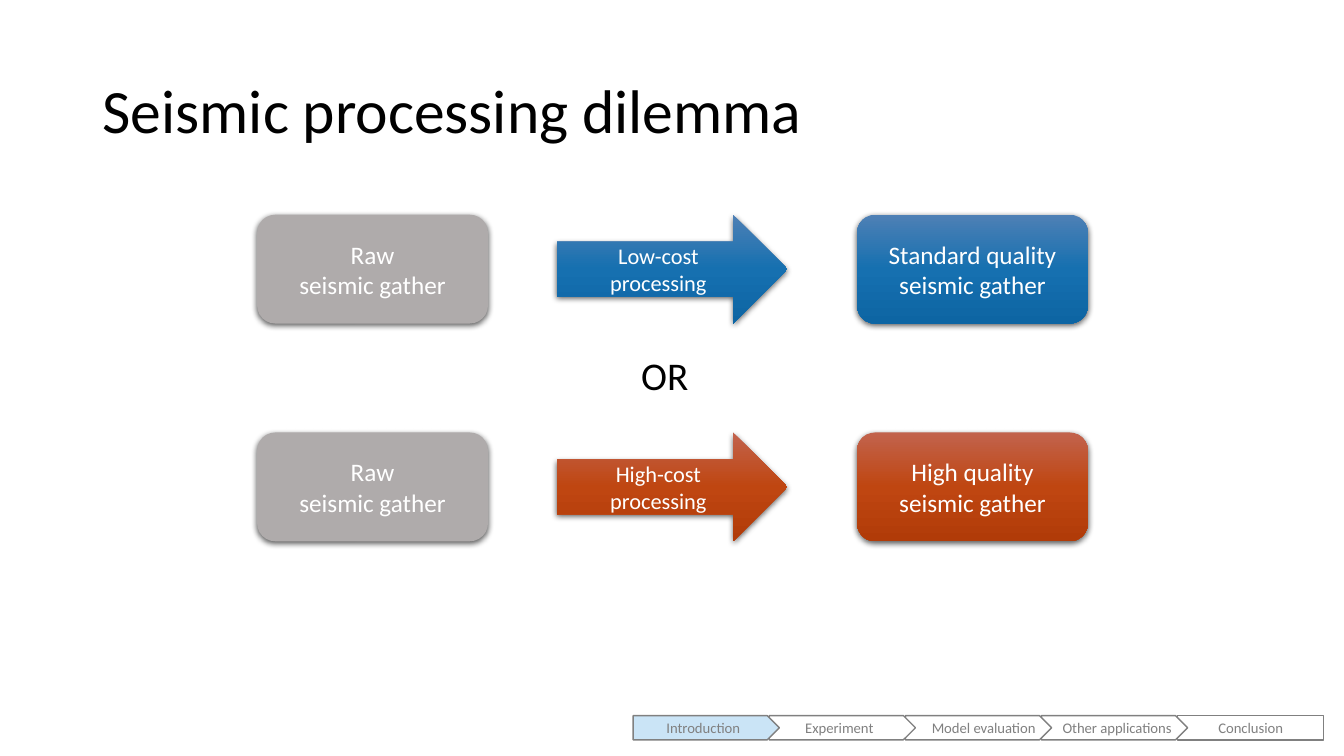
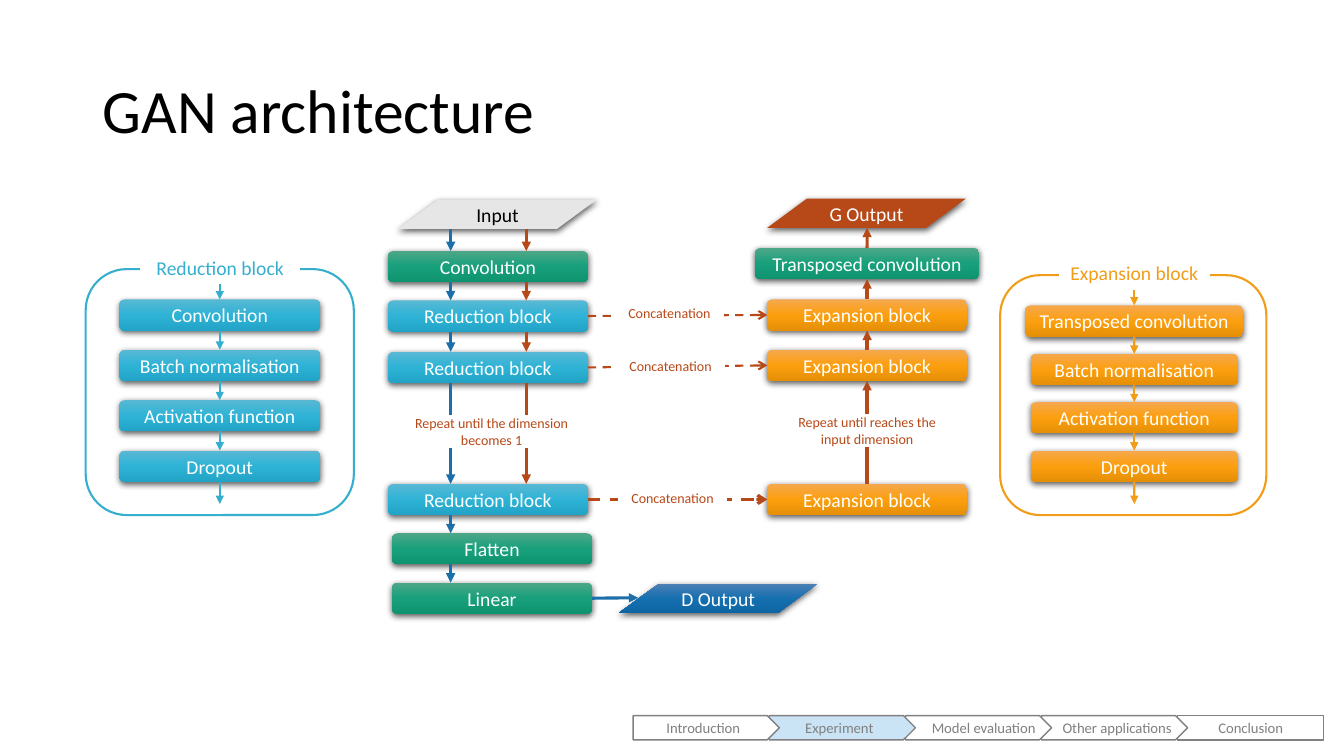
import copy
import itertools

import lxml.etree
import pptx
import pptx.dml.color
import pptx.enum.dml
import pptx.enum.shapes
import pptx.enum.text
import pptx.oxml.ns
import pptx.util

Inches = pptx.util.Inches
Pt = pptx.util.Pt
RGBColor = pptx.dml.color.RGBColor
SHAPE = pptx.enum.shapes.MSO_SHAPE
ALIGN = pptx.enum.text.PP_ALIGN
ANCHOR = pptx.enum.text.MSO_ANCHOR
qn = pptx.oxml.ns.qn

# Colours
BLACK = RGBColor(0x00, 0x00, 0x00)
WHITE = RGBColor(0xFF, 0xFF, 0xFF)
GREY = RGBColor(0x80, 0x80, 0x80)
WARM_GREY = RGBColor(0xAF, 0xAB, 0xAB)
PALE_GREY = RGBColor(0xE7, 0xE6, 0xE6)
PALE_BLUE = RGBColor(0xCA, 0xE4, 0xF6)
BLUE = RGBColor(0x1D, 0x6F, 0xA9)
RUST = RGBColor(0xB7, 0x49, 0x19)
CYAN = RGBColor(0x36, 0xAF, 0xCE)
ORANGE = RGBColor(0xF1, 0x9D, 0x19)

# Gradients, top to bottom
BLUE_SHADES = [RGBColor(0x4E, 0x80, 0xB5), RGBColor(0x16, 0x70, 0xB0), RGBColor(0x0D, 0x65, 0xA3)]
RUST_SHADES = [RGBColor(0xC2, 0x63, 0x4D), RGBColor(0xBF, 0x46, 0x11), RGBColor(0xB1, 0x3B, 0x08)]
CYAN_SHADES = [RGBColor(0x59, 0xB8, 0xD4), RGBColor(0x2E, 0xB3, 0xD6), RGBColor(0x21, 0xA4, 0xC6)]
ORANGE_SHADES = [RGBColor(0xF5, 0xA8, 0x4E), RGBColor(0xFC, 0x9F, 0x0E), RGBColor(0xE5, 0x8F, 0x07)]
GREEN_SHADES = [RGBColor(0x4E, 0xA7, 0x88), RGBColor(0x17, 0xA0, 0x7B), RGBColor(0x0F, 0x94, 0x70)]

FONT = "Calibri"
SECTIONS = ["Introduction", "Experiment", "Model evaluation", "Other applications", "Conclusion"]
BLOCK_WIDTH = 1.98
BLOCK_HEIGHT = 0.31


def write(box, text, size, color, align=ALIGN.CENTER):
    box.text_frame.text = text
    for para in box.text_frame.paragraphs:
        para.alignment = align
        para.font.name = FONT
        para.font.size = Pt(size)
        para.font.color.rgb = color


def add_text(page, text, area, size, anchor):
    box = page.shapes.add_textbox(*map(Inches, area))
    box.text_frame.word_wrap = True
    box.text_frame.vertical_anchor = anchor
    write(box, text, size, BLACK, ALIGN.LEFT)
    box.text_frame.paragraphs[0].line_spacing = 0.9


def paint(shape, fill):
    """Fill with nothing, one colour, or a vertical three-colour gradient."""
    if fill is None:
        shape.fill.background()
    elif isinstance(fill, RGBColor):
        shape.fill.solid()
        shape.fill.fore_color.rgb = fill
    else:
        shape.fill.gradient()
        shape.fill.gradient_angle = 270
        stop_list = shape.element.spPr.find(".//" + qn("a:gsLst"))
        stop_list.append(copy.deepcopy(stop_list[0]))
        for stop, color, position in zip(shape.fill.gradient_stops, fill, (0, 0.5, 1)):
            stop.color.rgb = color
            stop.position = position


def add_flat(page, kind, area, fill, line, width=1):
    shape = page.shapes.add_shape(kind, *map(Inches, area))
    shape.shadow.inherit = False
    paint(shape, fill)
    shape.line.color.rgb = line
    shape.line.width = Pt(width)
    return shape


def add_raised(page, kind, area, fill, text, size=14, color=WHITE):
    shape = page.shapes.add_shape(kind, *map(Inches, area))
    paint(shape, fill)
    shape.line.fill.background()
    shape.shadow.inherit = False
    effects = shape.element.spPr.find(qn("a:effectLst"))
    shadow = lxml.etree.SubElement(
        effects, qn("a:outerShdw"), blurRad=str(Pt(4.5)), dist=str(Pt(1.5)),
        dir="5400000", algn="ctr", rotWithShape="0")
    black = lxml.etree.SubElement(shadow, qn("a:srgbClr"), val="000000")
    lxml.etree.SubElement(black, qn("a:alpha"), val="63000")
    write(shape, text, size, color)
    return shape


def add_block(page, text, center, top, fill, width=BLOCK_WIDTH):
    area = (center - width / 2, top, width, BLOCK_HEIGHT)
    return add_raised(page, SHAPE.ROUNDED_RECTANGLE, area, fill, text)


def add_label(page, text, area, size, color):
    label = add_flat(page, SHAPE.RECTANGLE, area, WHITE, WHITE)
    write(label, text, size, color)


def add_arrow(page, start, end, color, width=2.25, dashed=False):
    """Each end is a (shape, side) pair to join, or an (x, y) point."""
    points = [(0, 0) if hasattr(place[0], "shape_id") else place for place in (start, end)]
    arrow = page.shapes.add_connector(
        pptx.enum.shapes.MSO_CONNECTOR.STRAIGHT, *points[0], *points[1])
    if hasattr(start[0], "shape_id"):
        arrow.begin_connect(*start)
    if hasattr(end[0], "shape_id"):
        arrow.end_connect(*end)
    arrow.line.color.rgb = color
    arrow.line.width = Pt(width)
    if dashed:
        arrow.line.dash_style = pptx.enum.dml.MSO_LINE.DASH
    properties = arrow.element.spPr
    head = "arrow" if dashed else "triangle"
    lxml.etree.SubElement(properties.find(qn("a:ln")), qn("a:tailEnd"), type=head)
    lxml.etree.SubElement(properties, qn("a:effectLst"))


def add_footer(page, current):
    # Drawn from the right so that each point overlaps the next section
    for index, section in reversed(list(enumerate(SECTIONS))):
        last = index == len(SECTIONS) - 1
        area = (6.28 + 1.35 * index, 7.1, 1.45, 0.24)
        step = add_flat(page, SHAPE.RECTANGLE if last else SHAPE.PENTAGON, area,
                        PALE_BLUE if section == current else WHITE, GREY)
        align = ALIGN.RIGHT if index in (2, 3) else ALIGN.CENTER
        write(step, section, 10.5, GREY, align)


def add_page(deck, title, section):
    page = deck.slides.add_slide(deck.slide_layouts[6])
    add_text(page, title, (0.92, 0.4, 11.5, 1.45), 44, ANCHOR.MIDDLE)
    add_footer(page, section)
    return page


def add_detail_panel(page, title, title_area, frame, center, top, pitch, names, widths, color, shades):
    """Framed chain of the layers inside one kind of block."""
    add_flat(page, SHAPE.ROUNDED_RECTANGLE, frame, None, color, 1.5)
    add_label(page, title, title_area, 14, color)
    blocks = [add_block(page, name, center, top + pitch * row, shades, width)
              for row, (name, width) in enumerate(zip(names, widths))]
    x = Inches(center)
    add_arrow(page, (x, Inches(top - 0.15)), (blocks[0], 0), color, 1.5)
    for upper, lower in itertools.pairwise(blocks):
        add_arrow(page, (upper, 2), (lower, 0), color, 1.5)
    exit_y = blocks[-1].top + blocks[-1].height + Inches(0.22)
    add_arrow(page, (blocks[-1], 2), (x, exit_y), color, 1.5)


def build_dilemma(deck):
    page = add_page(deck, "Seismic processing dilemma", "Introduction")
    rows = [(2.13, "Low-cost", "Standard quality", BLUE_SHADES),
            (4.29, "High-cost", "High quality", RUST_SHADES)]
    for top, cost, quality, shades in rows:
        steps = [
            (2.55, SHAPE.ROUNDED_RECTANGLE, WARM_GREY, "Raw\nseismic gather", 18),
            (5.52, SHAPE.RIGHT_ARROW, shades, cost + "\nprocessing", 16),
            (8.5, SHAPE.ROUNDED_RECTANGLE, shades, quality + "\nseismic gather", 18),
        ]
        for left, kind, fill, text, size in steps:
            add_raised(page, kind, (left, top, 2.29, 1.08), fill, text, size)
    add_text(page, "OR", (6.26, 3.49, 0.82, 0.53), 28, ANCHOR.TOP)


def build_architecture(deck):
    page = add_page(deck, "GAN architecture", "Experiment")

    # Detail panels on both sides
    common = ["Batch normalisation", "Activation function", "Dropout"]
    add_detail_panel(page, "Reduction block", (1.4, 2.51, 1.57, 0.3), (0.85, 2.67, 2.66, 2.44),
                     2.18, 2.97, 0.5, ["Convolution"] + common, [1.99] * 4, CYAN, CYAN_SHADES)
    add_detail_panel(page, "Expansion block", (10.51, 2.56, 1.48, 0.3), (9.92, 2.73, 2.64, 2.38),
                     11.25, 3.03, 0.48, ["Transposed convolution"] + common,
                     [2.16] + [2.05] * 3, ORANGE, ORANGE_SHADES)

    # Inputs and outputs
    source = add_raised(page, SHAPE.FLOWCHART_DATA, (3.95, 1.98, 1.97, 0.29), PALE_GREY,
                        "Input", color=BLACK)
    generated = add_raised(page, SHAPE.FLOWCHART_DATA, (7.61, 1.97, 1.97, 0.29), RUST, "G Output")
    add_raised(page, SHAPE.FLOWCHART_DATA, (6.14, 5.79, 1.97, 0.29), BLUE_SHADES, "D Output")

    # Reducing column, top to bottom
    convolution = add_block(page, "Convolution", 4.84, 2.49, GREEN_SHADES)
    reductions = [add_block(page, "Reduction block", 4.84, top, CYAN_SHADES)
                  for top in (2.98, 3.49, 4.8)]
    flatten, linear = [add_block(page, name, 4.88, top, GREEN_SHADES)
                       for name, top in (("Flatten", 5.29), ("Linear", 5.78))]
    shared = [source, convolution] + reductions
    for x, color, chain in ((4.47, BLUE, shared + [flatten, linear]), (5.22, RUST, shared)):
        for upper, lower in itertools.pairwise(chain):
            add_arrow(page, (Inches(x), upper.top + upper.height), (Inches(x), lower.top), color)
    add_arrow(page, (linear, 3), (Inches(6.33), Inches(5.93)), BLUE)

    # Expanding column, bottom to top
    expansions = [add_block(page, "Expansion block", 8.6, top, ORANGE_SHADES)
                  for top in (2.97, 3.47, 4.8)]
    transposed = add_block(page, "Transposed convolution", 8.6, 2.46, GREEN_SHADES, 2.22)
    for upper, lower in itertools.pairwise([transposed] + expansions):
        add_arrow(page, (lower, 0), (upper, 2), RUST)
    add_arrow(page, (transposed, 0), (Inches(8.6), generated.top + generated.height), RUST)

    # Links between the columns
    links = [(6.11, 2.95, 1.5), (6.12, 3.48, 1.5), (6.14, 4.79, 2.25)]
    for reduction, expansion, (left, top, width) in zip(reductions, expansions, links):
        add_arrow(page, (reduction, 3), (expansion, 1), RUST, width, dashed=True)
        add_label(page, "Concatenation", (left, top, 1.06, 0.3), 10, RUST)
    add_label(page, "Repeat until the dimension becomes 1", (3.98, 4.12, 1.79, 0.32), 10, RUST)
    add_label(page, "Repeat until reaches the input dimension", (7.68, 4.11, 1.84, 0.32), 10, RUST)


def main():
    deck = pptx.Presentation()
    deck.slide_width = Inches(13.33)
    deck.slide_height = Inches(7.5)
    build_dilemma(deck)
    build_architecture(deck)
    deck.save("out.pptx")


if __name__ == "__main__":
    main()
